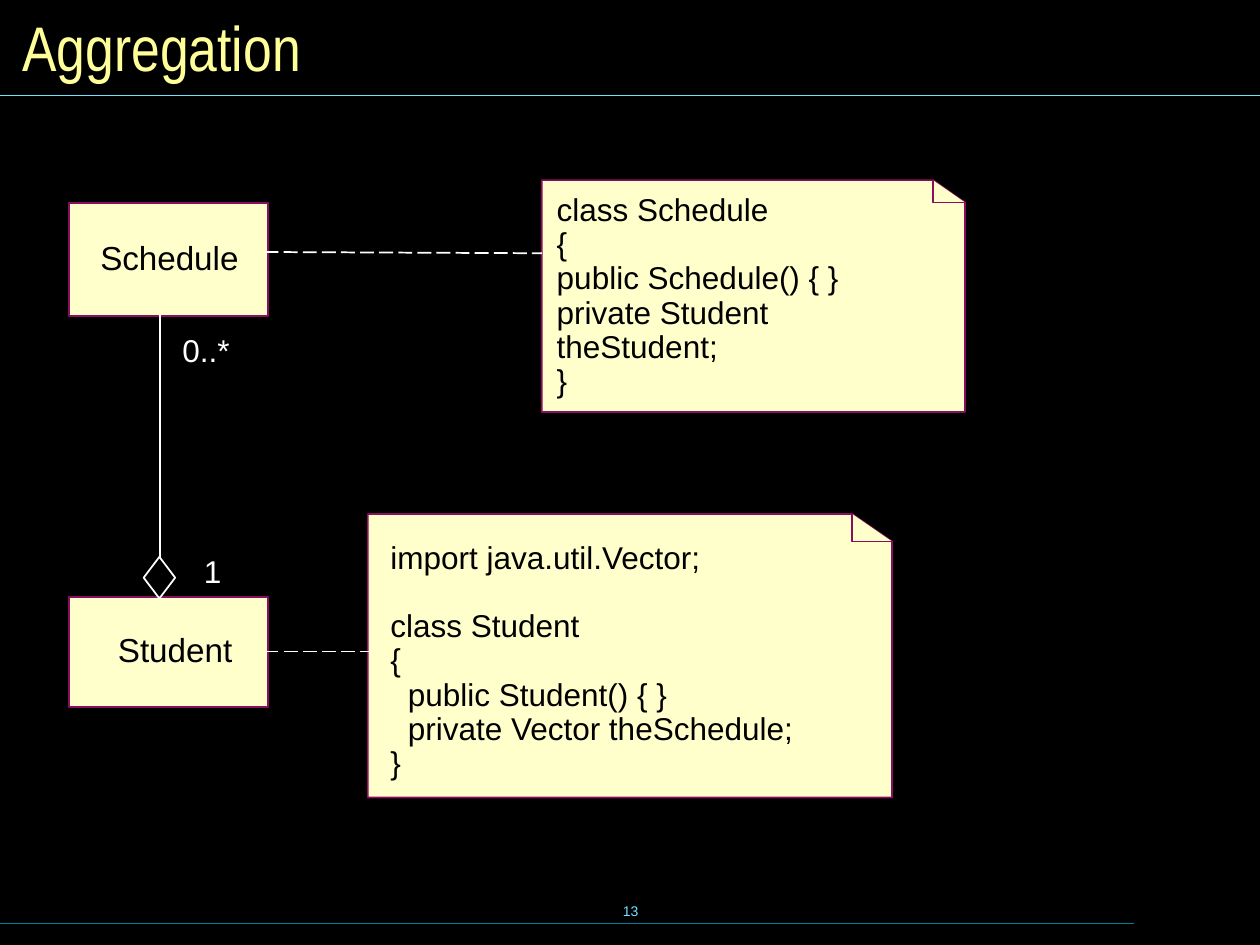
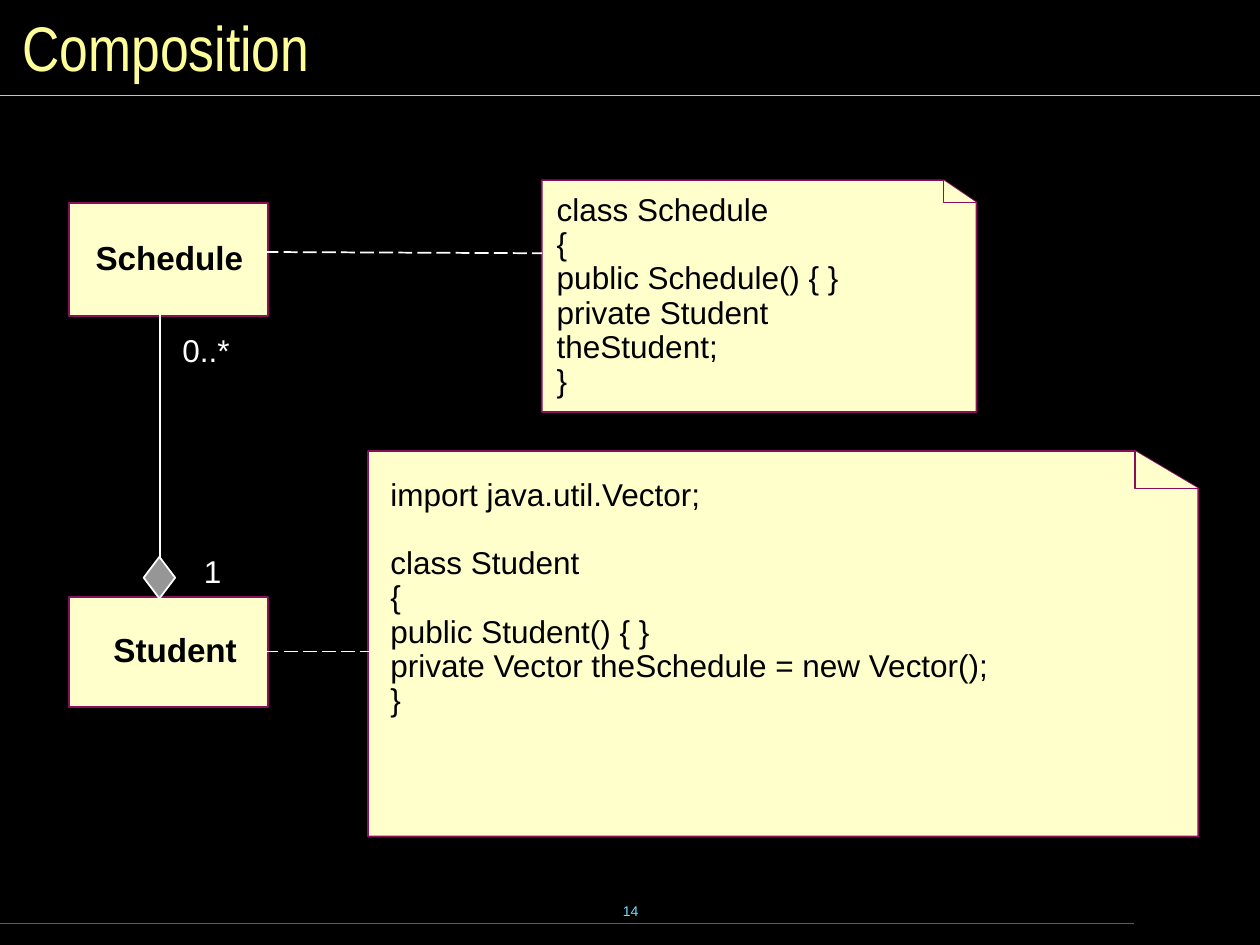
"""Build two class-diagram slides: aggregation and composition."""
from lxml import etree
from pptx import Presentation
from pptx.dml.color import RGBColor
from pptx.enum.dml import MSO_LINE
from pptx.enum.shapes import MSO_CONNECTOR, MSO_SHAPE
from pptx.enum.text import MSO_ANCHOR, PP_ALIGN
from pptx.oxml.ns import qn
from pptx.util import Inches, Pt

STRAIGHT = MSO_CONNECTOR.STRAIGHT
RECT, DIAMOND = MSO_SHAPE.RECTANGLE, MSO_SHAPE.DIAMOND
DASH = MSO_LINE.LONG_DASH
TOP, MIDDLE = MSO_ANCHOR.TOP, MSO_ANCHOR.MIDDLE
LEFT, CENTER = PP_ALIGN.LEFT, PP_ALIGN.CENTER

BLACK, WHITE, GRAY = "000000", "FFFFFF", "969696"
CREAM, PLUM = "FFFFCC", "8A0E5E"
YELLOW, CYAN, TEAL = "FFFF99", "73E1FF", "007E9F"

PITCH = Pt(19.5)
FOLD_X, FOLD_Y = 0.076, 0.097

TITLE = {
    "color": YELLOW,
    "frame": {"word_wrap": True, "vertical_anchor": MIDDLE},
    "para": {"alignment": LEFT},
    "font": {"name": "Arial Narrow", "size": Pt(36)},
}
NUMBER = {
    "color": CYAN,
    "frame": {"word_wrap": False, "vertical_anchor": MIDDLE},
    "para": {"alignment": CENTER},
    "font": {"name": "Arial", "size": Pt(8)},
}
NAME = {
    "color": BLACK,
    "frame": {"word_wrap": False, "vertical_anchor": TOP},
    "para": {"alignment": CENTER, "line_spacing": 0.9},
    "font": {"name": "Arial", "size": Pt(19)},
}
CODE = {
    "color": BLACK,
    "frame": {"word_wrap": False, "vertical_anchor": TOP},
    "para": {"alignment": LEFT, "line_spacing": PITCH},
    "font": {"name": "Arial", "size": Pt(18)},
}
COUNT = {
    "color": WHITE,
    "frame": {"word_wrap": True, "vertical_anchor": TOP},
    "para": {"alignment": LEFT},
    "font": {"name": "Arial", "size": Pt(18)},
}

SCHEDULE = """class Schedule
{
public Schedule() { }
private Student theStudent;
}"""

SLIDES = [
    {
        "title": "Aggregation", "number": "13", "bold": False, "gem": None,
        "upper": (4.3, 1.43, 7.66, 3.27), "lower": (2.92, 4.08, 7.08, 6.33),
        "box": (3, 4.25, 3.4, 1.98),
        "code": """import java.util.Vector;

class Student
{
  public Student() { }
  private Vector theSchedule;
}""",
    },
    {
        "title": "Composition", "number": "14", "bold": True, "gem": GRAY,
        "upper": (4.3, 1.43, 7.75, 3.27), "lower": (2.92, 3.58, 9.51, 6.64),
        "box": (3, 3.75, 4.97, 1.98),
        "code": """import java.util.Vector;

class Student
{
public Student() { }
private Vector theSchedule = new Vector();
}""",
    },
]


def rgb(code):
    """Turn a hex string into a colour."""
    return RGBColor.from_string(code)


def apply(target, values):
    """Set each named format value on the target."""
    for key, value in values.items():
        setattr(target, key, value)


def paint(shape, fill, line):
    """Give a shape its fill and outline, without shadow."""
    shape.shadow.inherit = False
    if fill:
        shape.fill.solid()
        shape.fill.fore_color.rgb = rgb(fill)
    else:
        shape.fill.background()
    shape.line.color.rgb = rgb(line)
    shape.line.width = Pt(1)


def add_text(slide, box, text, style, bold=False):
    """Add a text box, turning each empty line into space before the next."""
    frame = slide.shapes.add_textbox(*map(Inches, box)).text_frame
    apply(frame, style["frame"])
    para, gap = frame.paragraphs[0], 0
    for row, line in enumerate(text.split("\n")):
        if not line:
            gap += PITCH
            continue
        if row:
            para = frame.add_paragraph()
        if gap:
            para.space_before, gap = gap, 0
        apply(para, style["para"])
        run = para.add_run()
        run.text = line
        apply(run.font, {**style["font"], "bold": bold})
        run.font.color.rgb = rgb(style["color"])


def add_line(slide, start, end, color, width=1, dash=None):
    """Draw a straight line between two points."""
    ends = map(Inches, (*start, *end))
    link = slide.shapes.add_connector(STRAIGHT, *ends)
    link.line.color.rgb = rgb(color)
    apply(link.line, {"width": Pt(width), "dash_style": dash})
    etree.SubElement(link._element.spPr, qn("a:effectLst"))


def add_shape(slide, kind, box, fill, line):
    """Add a painted preset shape."""
    paint(slide.shapes.add_shape(kind, *map(Inches, box)), fill, line)


def add_path(slide, points, close):
    """Add a painted outline through the points."""
    dots = [(Inches(x), Inches(y)) for x, y in points]
    pen = slide.shapes.build_freeform(*dots[0])
    pen.add_line_segments(dots[1:], close=close)
    paint(pen.convert_to_shape(), CREAM, PLUM)


def add_note(slide, edges):
    """Draw a note with a folded corner in proportion to its size."""
    left, top, right, bottom = edges
    bend = right - FOLD_X * (right - left)
    drop = top + FOLD_Y * (bottom - top)
    body = [(right, bottom), (left, bottom), (left, top), (bend, top), (right, drop)]
    add_path(slide, body, True)
    add_path(slide, [(right, drop), (bend, drop), (bend, top)], False)


def add_base(deck, title, number):
    """Add a slide with the shared ground, rules, title and number."""
    slide = deck.slides.add_slide(deck.slide_layouts[6])
    ground = slide.background.fill
    ground.solid()
    ground.fore_color.rgb = rgb(BLACK)
    add_text(slide, (3.42, 6.98, 3.17, 0.5), number, NUMBER)
    add_line(slide, (0, 7.33), (9, 7.33), TEAL, 0.75)
    add_line(slide, (0, 0.76), (10, 0.76), CYAN, 0.75)
    add_text(slide, (0.08, 0.08, 9.84, 0.58), title, TITLE)
    return slide


def add_chart(slide, data):
    """Draw both classes, their notes and the link between them."""
    add_shape(slide, RECT, (0.55, 1.61, 1.58, 0.9), CREAM, PLUM)
    add_shape(slide, RECT, (0.55, 4.74, 1.58, 0.87), CREAM, PLUM)
    add_note(slide, data["upper"])
    add_note(slide, data["lower"])
    add_text(slide, (0.66, 1.87, 1.37, 0.39), "Schedule", NAME, data["bold"])
    add_text(slide, (0.8, 4.98, 1.18, 0.39), "Student", NAME, data["bold"])
    add_text(slide, (4.32, 1.49, 3.22, 1.44), SCHEDULE, CODE)
    add_text(slide, data["box"], data["code"], CODE)
    add_line(slide, (2.1, 2), (4.3, 2.01), WHITE, dash=DASH)
    add_line(slide, (2.1, 5.17), (2.94, 5.17), WHITE, dash=DASH)
    add_shape(slide, DIAMOND, (1.14, 4.42, 0.25, 0.33), data["gem"], WHITE)
    add_line(slide, (1.27, 4.42), (1.27, 2.5), WHITE)
    add_text(slide, (1.35, 2.58, 1, 0.4), "0..*", COUNT)
    add_text(slide, (1.52, 4.33, 1, 0.4), "1", COUNT)


def main():
    """Build and save the deck."""
    deck = Presentation()
    apply(deck, {"slide_width": Inches(10), "slide_height": Inches(7.5)})
    for data in SLIDES:
        add_chart(add_base(deck, data["title"], data["number"]), data)
    deck.save("out.pptx")


if __name__ == "__main__":
    main()
